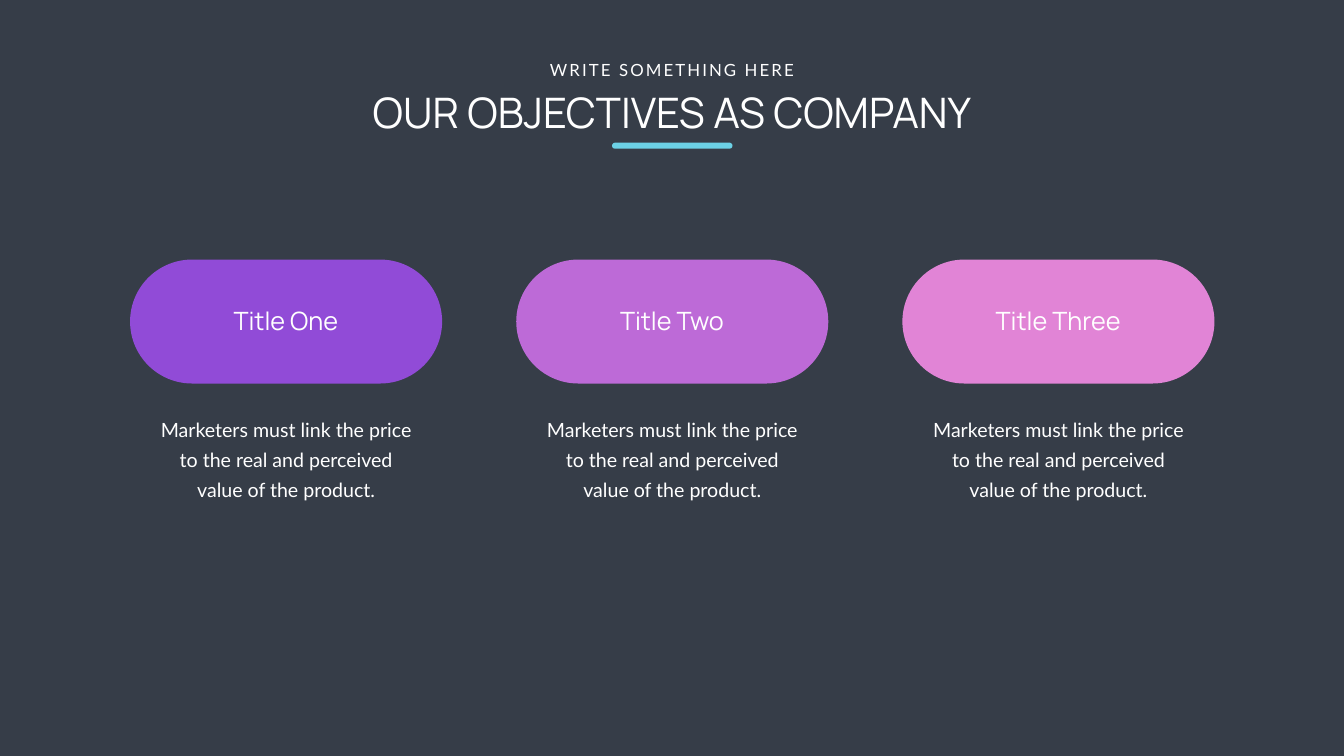
from pptx import Presentation
from pptx.dml.color import RGBColor
from pptx.enum.shapes import MSO_SHAPE
from pptx.enum.text import MSO_ANCHOR, PP_ALIGN
from pptx.util import Pt

EMU_PER_PX = 9144
SLIDE_WIDTH, SLIDE_HEIGHT = 2666, 1500
CENTER = SLIDE_WIDTH // 2
COLUMN_PITCH = 766
ROUNDED = MSO_SHAPE.ROUNDED_RECTANGLE
MIDDLE = MSO_ANCHOR.MIDDLE
ALIGN_CENTER = PP_ALIGN.CENTER

COLORS = {
    "background": "363D48",
    "text": "FFFFFF",
    "accent": "6CD1E5",
    "violet": "914BD7",
    "orchid": "BD6AD7",
    "pink": "E184D6",
}
OBJECTIVES = [("Title One", "violet"), ("Title Two", "orchid"), ("Title Three", "pink")]
DESCRIPTION = "Marketers must link the price to the real and perceived value of the product."


class SlideBuilder:
    """Draws horizontally centred elements on one slide in a shared style."""

    heading_font = "Manrope"
    body_font = "Lato"

    def __init__(self, slide):
        self.slide = slide

    def box(self, center, top, width, height):
        return [value * EMU_PER_PX for value in (center - width // 2, top, width, height)]

    def background(self, color):
        fill = self.slide.background.fill
        fill.solid()
        fill.fore_color.rgb = RGBColor.from_string(COLORS[color])

    def pill(self, center, top, width, height, color):
        shape = self.slide.shapes.add_shape(ROUNDED, *self.box(center, top, width, height))
        shape.adjustments[0] = 0.5
        shape.shadow.inherit = False
        shape.fill.solid()
        shape.fill.fore_color.rgb = RGBColor.from_string(COLORS[color])
        shape.line.fill.background()

    def text(self, center, top, width, height, words, size, font,
             line_spacing=None, letter_spacing=None, wrap=True):
        shape = self.slide.shapes.add_textbox(*self.box(center, top, width, height))
        frame = shape.text_frame
        frame.word_wrap = wrap
        frame.vertical_anchor = MIDDLE
        paragraph = frame.paragraphs[0]
        paragraph.alignment = ALIGN_CENTER
        if line_spacing:
            paragraph.line_spacing = Pt(line_spacing)
        run = paragraph.add_run()
        run.text = words
        run.font.size = Pt(size)
        run.font.name = font
        run.font.color.rgb = RGBColor.from_string(COLORS["text"])
        if letter_spacing:
            run.font._element.set("spc", str(letter_spacing * 100))

    def header(self, kicker, title):
        self.text(CENTER, 167, 1606, 111, title, 60, self.heading_font)
        self.text(CENTER, 113, 514, 50, kicker, 24, self.body_font,
                  letter_spacing=3, wrap=False)
        self.pill(CENTER, 283, 239, 12, "accent")

    def objective(self, center, title, color, description):
        self.pill(center, 515, 619, 246, color)
        self.text(center, 601, 304, 71, title, 36, self.heading_font)
        self.text(center, 814, 539, 184, description, 28, self.body_font, line_spacing=43)


def main():
    presentation = Presentation()
    presentation.slide_width = SLIDE_WIDTH * EMU_PER_PX
    presentation.slide_height = SLIDE_HEIGHT * EMU_PER_PX
    builder = SlideBuilder(presentation.slides.add_slide(presentation.slide_layouts[6]))
    builder.background("background")
    builder.header("WRITE SOMETHING HERE", "OUR OBJECTIVES AS COMPANY")
    for column, (title, color) in enumerate(OBJECTIVES):
        builder.objective(CENTER + (column - 1) * COLUMN_PITCH, title, color, DESCRIPTION)
    presentation.save("out.pptx")


if __name__ == "__main__":
    main()
